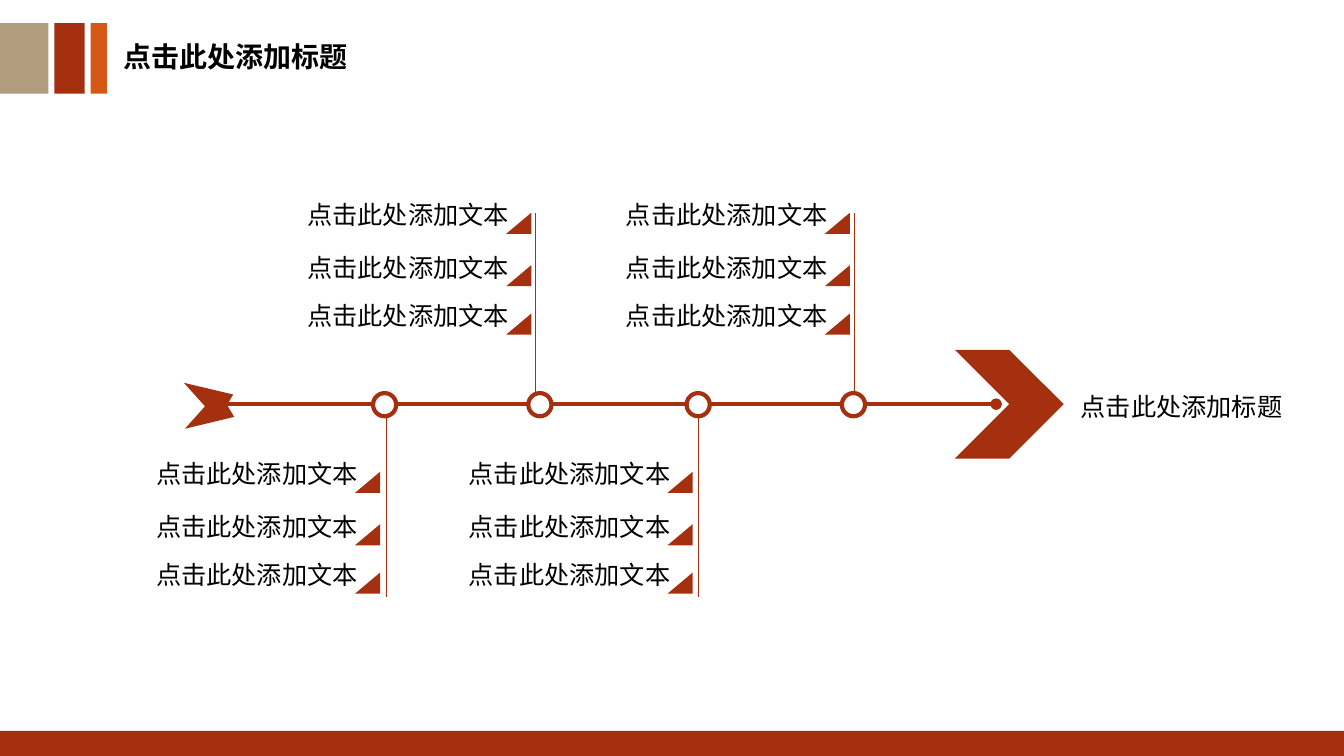
from lxml.etree import SubElement
from pptx import Presentation
from pptx.dml.color import RGBColor
from pptx.enum.shapes import MSO_CONNECTOR, MSO_SHAPE
from pptx.enum.text import MSO_ANCHOR, MSO_AUTO_SIZE, PP_ALIGN
from pptx.oxml.ns import qn
from pptx.util import Inches, Pt

RUST = RGBColor(0xA5, 0x30, 0x0F)
TAN = RGBColor(0xB1, 0x9C, 0x7D)
ORANGE = RGBColor(0xD5, 0x58, 0x16)
WHITE = RGBColor(0xFF, 0xFF, 0xFF)
BLACK = RGBColor(0, 0, 0)
FONT = "Noto Sans CJK SC"

deck = Presentation()
deck.slide_width = Inches(13.33)
deck.slide_height = Inches(7.5)
slide = deck.slides.add_slide(deck.slide_layouts[5])
shapes = slide.shapes


def draw(kind, left, top, width, height, fill=RUST):
    shape = shapes.add_shape(kind, Inches(left), Inches(top), Inches(width), Inches(height))
    shape.shadow.inherit = False
    shape.fill.solid()
    shape.fill.fore_color.rgb = fill
    shape.line.fill.background()
    return shape


def write(box, text, size, bold=False):
    box.text_frame.word_wrap = True
    para = box.text_frame.paragraphs[0]
    para.alignment = PP_ALIGN.LEFT
    run = para.add_run()
    run.text = text
    run.font.size = Pt(size)
    run.font.bold = bold
    run.font.color.rgb = BLACK
    run.font.name = FONT
    SubElement(run.font._element, qn("a:ea"), typeface=FONT)


draw(MSO_SHAPE.RECTANGLE, 0, 7.25, 13.33, 0.25)
for left, width, color in [(0, 0.48, TAN), (0.54, 0.3, RUST), (0.9, 0.16, ORANGE)]:
    draw(MSO_SHAPE.RECTANGLE, left, 0.23, width, 0.7, color)

title = shapes.title
title.left, title.top = Inches(1.12), Inches(0.29)
title.width, title.height = Inches(4.88), Inches(0.58)
title.text_frame.vertical_anchor = MSO_ANCHOR.MIDDLE
title.text_frame.auto_size = MSO_AUTO_SIZE.NONE
title.text_frame.paragraphs[0].line_spacing = 0.9
write(title, "点击此处添加标题", 20, True)

draw(MSO_SHAPE.CHEVRON, 9.47, 3.47, 1.08, 1.08)

lines = [(9.88, 4.01, 2.22, 4.01, 2.75)]
nodes = [(8.35, 8.47, 6.11, True), (6.81, 6.93, 4.55, False),
         (5.24, 5.31, 2.95, True), (3.7, 3.83, 1.45, False)]
for node, stem, left, above in nodes:
    start, end = (3.9, 2.11) if above else (5.92, 4.13)
    lines.append((stem, start, stem, end, 0.5))

for x1, y1, x2, y2, weight in lines:
    line = shapes.add_connector(MSO_CONNECTOR.STRAIGHT, Inches(x1), Inches(y1), Inches(x2), Inches(y2))
    line.line.color.rgb = RUST
    line.line.width = Pt(weight)
    if y1 == y2:
        SubElement(line.line._get_or_add_ln(), qn("a:headEnd"), type="oval")
    SubElement(line._element.spPr, qn("a:effectLst"))

labels = [(10.62, 3.83, "点击此处添加标题")]
for node, stem, left, above in nodes:
    ring = draw(MSO_SHAPE.OVAL, node, 3.9, 0.23, 0.23, WHITE)
    ring.line.color.rgb = RUST
    ring.line.width = Pt(3)
    first = 1.93 if above else 4.5
    for step in (0, 0.52, 1):
        mark = draw(MSO_SHAPE.ISOSCELES_TRIANGLE, left + 2.07, first + step + 0.18, 0.25, 0.21)
        mark.adjustments[0] = 1
        labels.append((left, first + step, "点击此处添加文本"))

for left, top, text in labels:
    box = shapes.add_textbox(Inches(left), Inches(top), Inches(2.36), Inches(0.41))
    box.text_frame.auto_size = MSO_AUTO_SIZE.SHAPE_TO_FIT_TEXT
    write(box, text, 18)

for left, top, turn in [(1.88, 3.68, 300.7), (1.89, 3.89, 239.1)]:
    fin = draw(MSO_SHAPE.ISOSCELES_TRIANGLE, left, top, 0.3, 0.48)
    fin.rotation = turn

deck.save("out.pptx")
